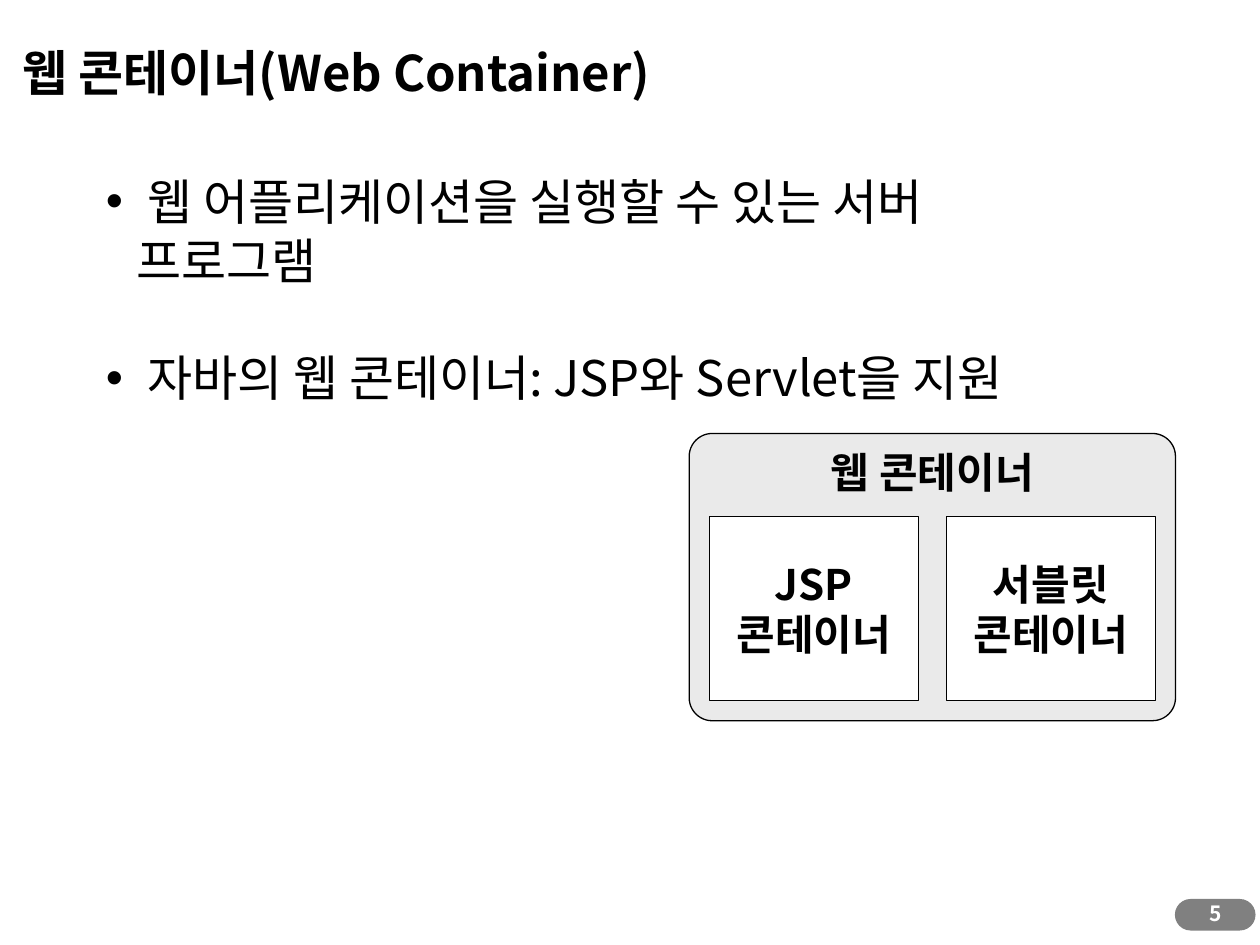
import pptx
import pptx.util
from pptx.dml.color import RGBColor
from pptx.enum.shapes import MSO_SHAPE
from pptx.enum.text import MSO_ANCHOR, MSO_AUTO_SIZE, PP_ALIGN
from pptx.oxml.ns import qn
from pptx.util import Inches, Pt

FONT = "Noto Sans CJK KR"
TITLE = "웹 콘테이너(Web Container)"
POINTS = [
    " 웹 어플리케이션을 실행할 수 있는 서버 프로그램",
    " 자바의 웹 콘테이너: JSP와 Servlet을 지원",
]
CONTAINER = "웹 콘테이너"
INNER_CONTAINERS = [["JSP", "콘테이너"], ["서블릿", "콘테이너"]]
PAGE_NUMBER = "5"

INNER_LEFT, INNER_TOP = 5.63, 4.1
INNER_WIDTH, INNER_HEIGHT = 1.66, 1.46
INNER_PITCH = 1.88


def color(hex_code):
    return RGBColor.from_string(hex_code)


def place(shape, left, top, width, height):
    shape.left, shape.top = Inches(left), Inches(top)
    shape.width, shape.height = Inches(width), Inches(height)


def write(shape, lines, size, bold=True, ink="000000",
          align=PP_ALIGN.CENTER, anchor=MSO_ANCHOR.TOP):
    frame = shape.text_frame
    frame.word_wrap = True
    frame.auto_size = MSO_AUTO_SIZE.NONE
    frame.vertical_anchor = anchor
    frame.text = "\n".join(lines)
    for paragraph in frame.paragraphs:
        paragraph.alignment = align
        paragraph.line_spacing = 1.0
        paragraph.space_before = Pt(0)
        font = paragraph.font
        font.name, font.size, font.bold = FONT, Pt(size), bold
        font.color.rgb = color(ink)
        defaults = paragraph._p.pPr.find(qn("a:defRPr"))
        defaults.set("kern", "0")
        east_asian = defaults.makeelement(qn("a:ea"), {"typeface": FONT})
        defaults.find(qn("a:latin")).addnext(east_asian)


def add_bullet(paragraph, indent):
    properties = paragraph._p.get_or_add_pPr()
    properties.set("marL", str(Inches(indent)))
    properties.set("indent", str(-Inches(indent)))
    bullet = properties.makeelement(qn("a:buChar"), {"char": "•"})
    properties.find(qn("a:defRPr")).addprevious(bullet)


def add_box(slide, preset, left, top, width, height, fill, line="000000"):
    box = slide.shapes.add_shape(preset, 0, 0, 0, 0)
    place(box, left, top, width, height)
    box.shadow.inherit = False
    box.fill.solid()
    box.fill.fore_color.rgb = color(fill)
    box.line.color.rgb = color(line)
    box.line.width = Pt(0.75)
    return box


def main():
    deck = pptx.Presentation()
    deck.slide_width, deck.slide_height = Inches(10), Inches(7.5)
    slide = deck.slides.add_slide(deck.slide_layouts[1])

    title = slide.shapes.title
    place(title, 0.08, 0.29, 9.1, 0.71)
    write(title, [TITLE], 28, align=PP_ALIGN.LEFT)

    body = slide.placeholders[1]
    place(body, 0.74, 1.31, 7.95, 2.0)
    write(body, POINTS, 28, bold=False, align=PP_ALIGN.LEFT)
    for point in body.text_frame.paragraphs:
        add_bullet(point, 0.24)
    body.text_frame.paragraphs[1].space_before = Pt(33.6)

    container = add_box(slide, MSO_SHAPE.ROUNDED_RECTANGLE,
                        5.47, 3.44, 3.86, 2.28, "EAEAEA")
    container.adjustments[0] = 0.08
    write(container, [CONTAINER], 24)

    for column, lines in enumerate(INNER_CONTAINERS):
        inner = add_box(slide, MSO_SHAPE.RECTANGLE,
                        INNER_LEFT + column * INNER_PITCH, INNER_TOP,
                        INNER_WIDTH, INNER_HEIGHT, "FFFFFF")
        write(inner, lines, 24, anchor=MSO_ANCHOR.MIDDLE)

    badge = add_box(slide, MSO_SHAPE.ROUNDED_RECTANGLE,
                    9.33, 7.14, 0.63, 0.24, "808080", "808080")
    badge.adjustments[0] = 0.5
    number = slide.shapes.add_textbox(0, 0, 0, 0)
    place(number, 9.37, 7.1, 0.55, 0.34)
    write(number, [PAGE_NUMBER], 12, ink="FFFFFF")

    deck.save("out.pptx")


if __name__ == "__main__":
    main()
